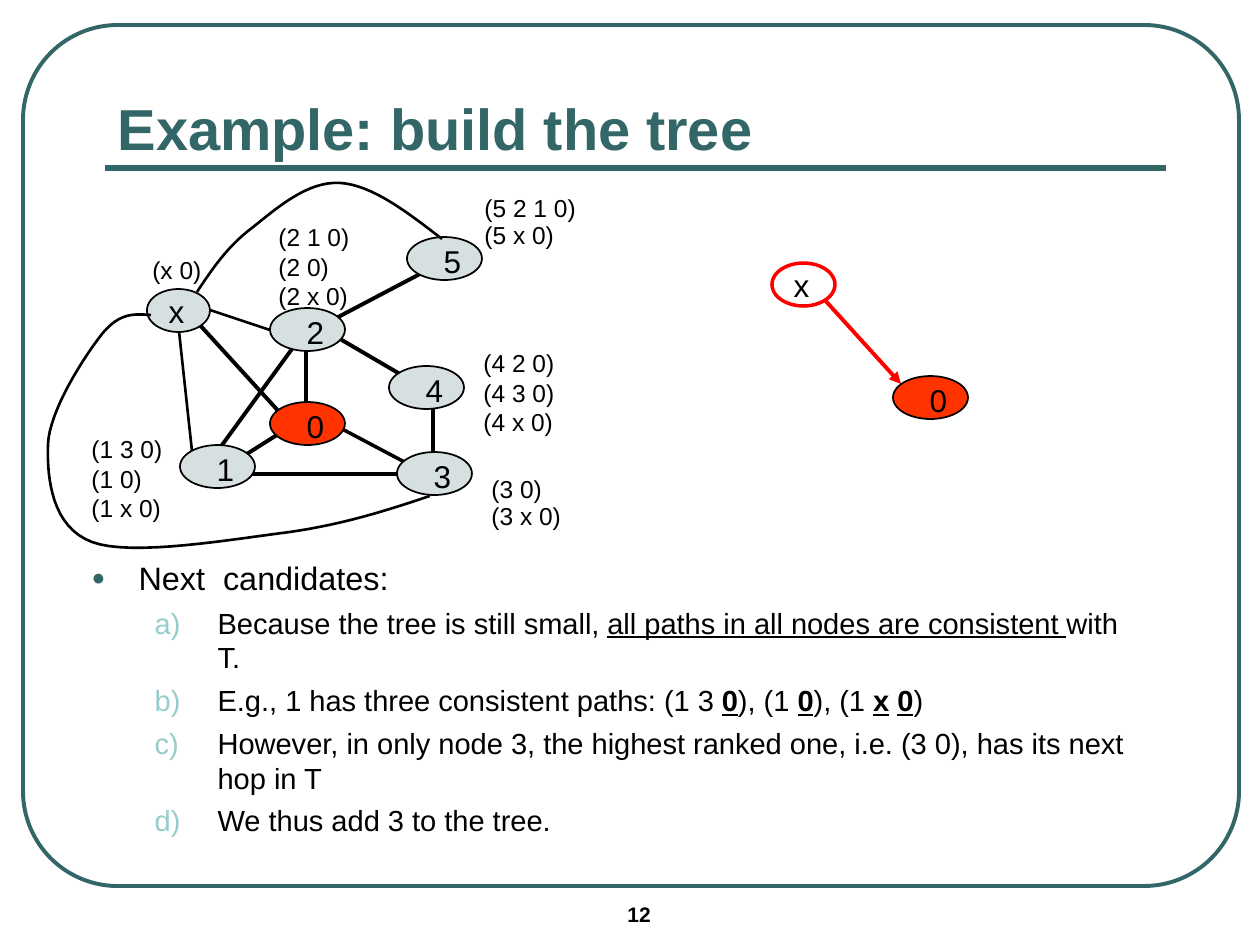
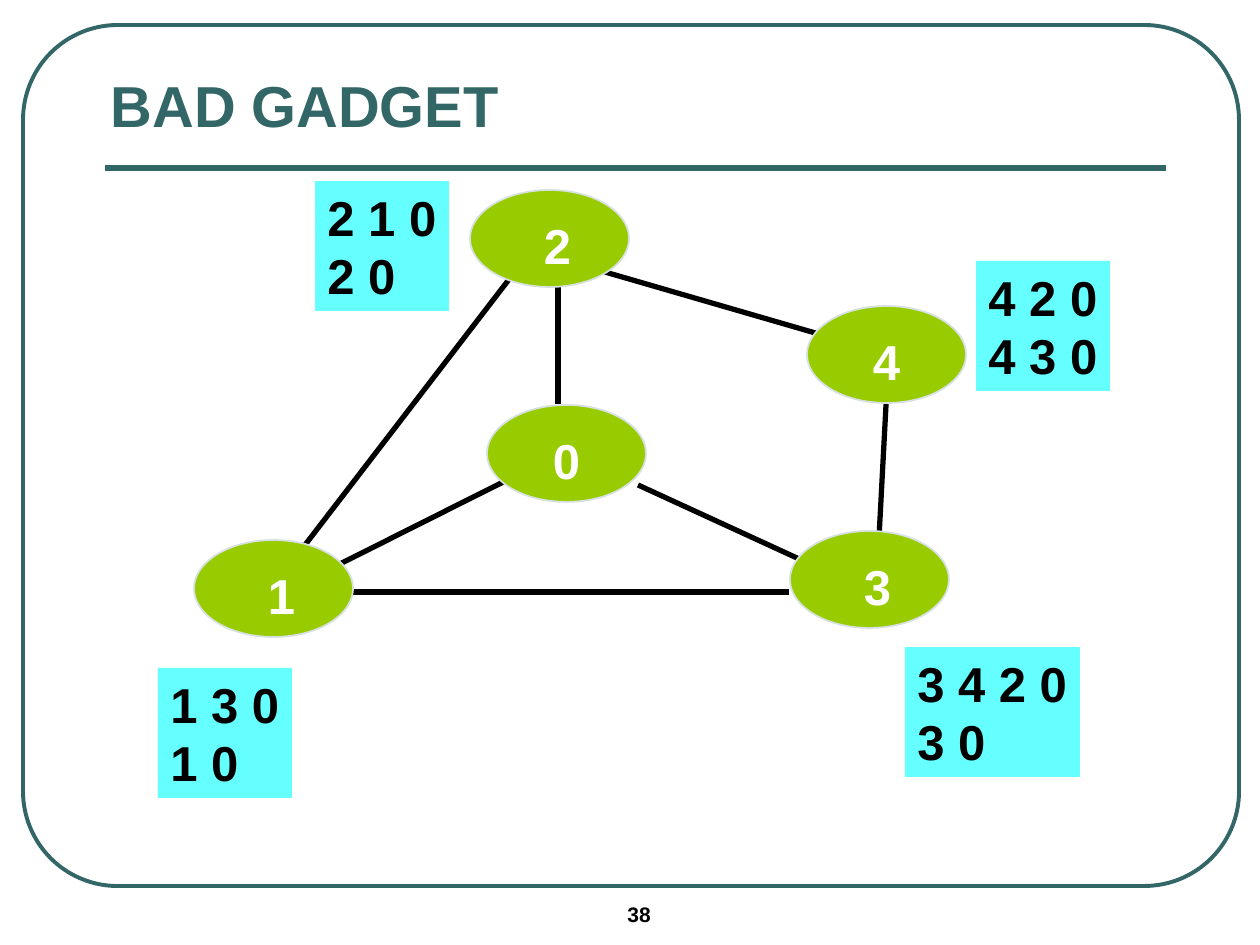
from lxml import etree
from pptx import Presentation
from pptx.dml.color import RGBColor
from pptx.enum.shapes import MSO_CONNECTOR, MSO_SHAPE
from pptx.enum.text import MSO_ANCHOR, MSO_AUTO_SIZE, PP_ALIGN
from pptx.oxml.ns import qn
from pptx.util import Emu, Pt

STRAIGHT = MSO_CONNECTOR.STRAIGHT
OVAL, ROUNDED = MSO_SHAPE.OVAL, MSO_SHAPE.ROUNDED_RECTANGLE
TOP, MIDDLE, BOTTOM = MSO_ANCHOR.TOP, MSO_ANCHOR.MIDDLE, MSO_ANCHOR.BOTTOM
LEFT, CENTER = PP_ALIGN.LEFT, PP_ALIGN.CENTER
NO_FIT = MSO_AUTO_SIZE.NONE
EMU_PER_PX = 914400 / 126
CURVE_STEPS = 16


class Theme:
    font = "Arial"
    teal = RGBColor.from_string("336666")
    aqua = RGBColor.from_string("97CDCC")
    black = RGBColor.from_string("000000")
    white = RGBColor.from_string("FFFFFF")
    red = RGBColor.from_string("FF0000")
    orange = RGBColor.from_string("FF3300")
    mist = RGBColor.from_string("D6E0E0")
    lime = RGBColor.from_string("99CC00")
    cyan = RGBColor.from_string("66FFFF")
    title_size = 33
    lead_size = 18.5
    item_size = 16.6
    node_size = 18
    path_size = 14
    big_size = 28
    number_size = 12
    loose = 1.2
    tight = 1.1


def px(*lengths):
    """Turn pixel lengths into a list of EMU lengths."""
    return [Emu(round(length * EMU_PER_PX)) for length in lengths]


def write(shape, lines, size, color=Theme.black, bold=False, leading=None,
          anchor=TOP, align=LEFT, wrap=False):
    """Fill a shape with paragraphs; each line is a list of (text, style)
    spans or a plain string, and style may hold b and u."""
    frame = shape.text_frame
    frame.auto_size = NO_FIT
    frame.word_wrap = wrap
    frame.vertical_anchor = anchor
    for index, line in enumerate(lines):
        para = frame.paragraphs[0] if index == 0 else frame.add_paragraph()
        para.alignment = align
        para.space_before = Pt(0)
        if leading:
            para.line_spacing = Pt(round(size * leading, 1))
        para.font.name = Theme.font
        para.font.size = Pt(size)
        para.font.color.rgb = color
        para.font.bold = bold
        for text, style in [(line, "")] if isinstance(line, str) else line:
            span = para.add_run()
            span.text = text
            if "b" in style:
                span.font.bold = True
            if "u" in style:
                span.font.underline = True


# Edges: x1, y1, x2, y2, width, colour
# Nodes: name, left, top, width, height, label shift, fill, outline, outline width
# Paths: left, top, width, height, leading, lines
tree_page = dict(
    layout=1, title="Example: build the tree", title_at=(105, 73, 1061, 95),
    anchor=BOTTOM, number="12",
    edges=[(*ends, width, Theme.black) for width, group in (
        (2.25, [(323, 329, 417, 384), (306, 336, 306, 412),
                (188, 312, 282, 415), (325, 324, 437, 265),
                (433, 394, 433, 474), (300, 338, 217, 452),
                (307, 416, 239, 459)]),
        (2, [(412, 466, 344, 430), (397, 474, 232, 474)]),
        (1.5, [(270, 330, 210, 310), (192, 451, 179, 331)]),
    ) for ends in group] + [(813, 287, 901, 384, 2.25, Theme.red)],
    nodes=[(name, left, top, 75, 43, 8, fill, Theme.black, 1)
           for name, left, top, fill in (
               ("0", 893, 376, Theme.orange), ("5", 407, 237, Theme.mist),
               ("0", 270, 402, Theme.orange), ("3", 397, 452, Theme.mist),
               ("4", 389, 366, Theme.mist), ("2", 270, 308, Theme.mist),
               ("1", 180, 445, Theme.mist))]
          + [("x", 147, 289, 63, 43, -2, Theme.mist, Theme.black, 1),
             ("x", 772, 263, 63, 43, -2, Theme.white, Theme.red, 2)],
    node_size=Theme.node_size, node_color=Theme.black, node_bold=False, drop=5,
    paths=[(266, 216, 97, 100, Theme.loose, ["(2 1 0)", "(2 0)", "(2 x 0)"]),
           (79, 428, 97, 100, Theme.loose, ["(1 3 0)", "(1 0)", "(1 x 0)"]),
           (471, 342, 97, 100, Theme.loose, ["(4 2 0)", "(4 3 0)", "(4 x 0)"]),
           (479, 470, 96, 68, Theme.tight, ["(3 0)", "(3 x 0)"]),
           (472, 189, 117, 68, Theme.tight, ["(5 2 1 0)", "(5 x 0)"]),
           (140, 251, 74, 42, Theme.tight, ["(x 0)"])],
    path_size=Theme.path_size, path_bold=False, path_fill=None,
    curves=[[(442, 239), (407, 212), (372, 185), (340, 183),
             (307, 181), (276, 209), (252, 228),
             (228, 246), (213, 268), (197, 292)],
            [(430, 496), (388, 510), (345, 524), (290, 532),
             (233, 539), (132, 557), (92, 542),
             (52, 527), (47, 479), (48, 445),
             (49, 411), (84, 357), (102, 334),
             (120, 312), (135, 314), (151, 315)]],
)
gadget_page = dict(
    layout=5, title="BAD GADGET", title_at=(98, 52, 440, 105),
    anchor=MIDDLE, number="38",
    edges=[(*ends, 3, Theme.black) for ends in (
        (887, 387, 878, 557), (530, 252, 282, 575), (567, 261, 843, 341),
        (558, 270, 558, 404), (549, 459, 318, 575), (834, 575, 638, 485),
        (789, 592, 326, 592))],
    nodes=[(name, left, top, 159, 97, shift, Theme.lime, Theme.mist, 1)
           for name, left, top, shift in (
               ("2", 470, 190, 8), ("0", 487, 405, 0), ("3", 790, 531, 8),
               ("1", 194, 540, 8), ("4", 807, 306, 0))],
    node_size=Theme.big_size, node_color=Theme.white, node_bold=True, drop=12,
    paths=[(left, top, width, 130, Theme.loose, lines)
           for left, top, width, lines in (
               (315, 181, 134, ["2 1 0", "2 0"]),
               (158, 668, 134, ["1 3 0", "1 0"]),
               (905, 647, 175, ["3 4 2 0", "3 0"]),
               (976, 261, 134, ["4 2 0", "4 3 0"]))],
    path_size=Theme.big_size, path_bold=True, path_fill=Theme.cyan,
    curves=[],
)
body_lines = [
    "Next\u00a0 candidates:".replace("\u00a0", " "),
    [("Because the tree is still small, ", ""),
     ("all paths in all nodes are consistent ", "u"), ("with T.", "")],
    [("E.g., 1 has three consistent paths: (1 3 ", ""), ("0", "bu"),
     ("), (1 ", ""), ("0", "bu"), ("), (1 ", ""), ("x", "bu"), (" ", "b"),
     ("0", "bu"), (")", "")],
    "However, in only node 3, the highest ranked one, i.e. (3 0), "
    "has its next hop in T",
    "We thus add 3 to the tree.",
]

deck = Presentation()
deck.slide_width, deck.slide_height = px(1260, 945)

for page in (tree_page, gadget_page):
    slide = deck.slides.add_slide(deck.slide_layouts[page["layout"]])
    shapes = slide.shapes

    # Shared frame, title, rule and page number
    border = shapes.add_shape(ROUNDED, *px(23, 25, 1216, 861))
    border.adjustments[0] = 0.11
    border.shadow.inherit = False
    border.fill.background()
    border.line.color.rgb = Theme.teal
    border.line.width = Pt(2.25)
    title = shapes.title
    title.left, title.top, title.width, title.height = px(*page["title_at"])
    write(title, [page["title"]], Theme.title_size, Theme.teal, bold=True,
          anchor=page["anchor"], wrap=True)
    number = shapes.add_textbox(*px(615, 895, 147, 42))
    write(number, [page["number"]], Theme.number_size, bold=True, wrap=True)

    # Graph
    rule = (105, 168, 1166, 168, 3, Theme.teal)
    for *ends, width, color in [rule] + page["edges"]:
        edge = shapes.add_connector(STRAIGHT, *px(*ends))
        edge.line.color.rgb = color
        edge.line.width = Pt(width)
        properties = edge._element.spPr
        if color == Theme.red:
            outline = properties.find(qn("a:ln"))
            etree.SubElement(outline, qn("a:tailEnd"), type="triangle")
        etree.SubElement(properties, qn("a:effectLst"))

    for name, left, top, width, height, shift, fill, color, weight in page["nodes"]:
        node = shapes.add_shape(OVAL, *px(left, top, width, height))
        node.shadow.inherit = False
        node.fill.solid()
        node.fill.fore_color.rgb = fill
        node.line.color.rgb = color
        node.line.width = Pt(weight)
        write(node, [name], page["node_size"], page["node_color"],
              page["node_bold"], anchor=MIDDLE, align=CENTER)
        frame = node.text_frame
        drop = page["drop"] if name.isdigit() else 0
        frame.margin_left, frame.margin_right, frame.margin_top, frame.margin_bottom = px(
            max(0, 2 * shift), max(0, -2 * shift), drop, 0)

    for *place, leading, lines in page["paths"]:
        box = shapes.add_textbox(*px(*place))
        if page["path_fill"]:
            box.fill.solid()
            box.fill.fore_color.rgb = page["path_fill"]
        write(box, lines, page["path_size"], bold=page["path_bold"], leading=leading)

    for start, *controls in page["curves"]:
        points = []
        knot = start
        for first in range(0, len(controls), 3):
            bezier = [knot] + controls[first:first + 3]
            for step in range(1, CURVE_STEPS + 1):
                t = step / CURVE_STEPS
                weights = ((1 - t) ** 3, 3 * t * (1 - t) ** 2,
                           3 * t ** 2 * (1 - t), t ** 3)
                points.append(px(*(sum(w * point[axis] for w, point in zip(weights, bezier))
                                   for axis in (0, 1))))
            knot = bezier[-1]
        builder = shapes.build_freeform(*px(*start))
        builder.add_line_segments(points, close=False)
        curve = builder.convert_to_shape()
        curve.shadow.inherit = False
        curve.fill.background()
        curve.line.color.rgb = Theme.black
        curve.line.width = Pt(1.5)

# Candidate list on the tree slide
body = deck.slides[0].placeholders[1]
body.left, body.top, body.width, body.height = px(79, 552, 1071, 299)
write(body, body_lines, Theme.item_size, leading=Theme.loose, wrap=True)
for index, para in enumerate(body.text_frame.paragraphs):
    properties = para._p.get_or_add_pPr()
    is_lead = index == 0
    if is_lead:
        para.font.size = Pt(Theme.lead_size)
        para.line_spacing = Pt(round(Theme.lead_size * Theme.loose, 1))
        margin, indent = px(47, -47)
        bullet_parts = [("a:buSzPct", {"val": "70000"}),
                        ("a:buFont", {"typeface": Theme.font}),
                        ("a:buChar", {"char": "●"})]
    else:
        para.level = 1
        para.space_before = Pt(4.5)
        margin, indent = px(126, -63)
        bullet_parts = [("a:buFont", {"typeface": Theme.font}),
                        ("a:buAutoNum", {"type": "alphaLcParenR"})]
    properties.set("marL", str(margin))
    properties.set("indent", str(indent))
    bullet_color = etree.Element(qn("a:buClr"))
    etree.SubElement(bullet_color, qn("a:srgbClr"),
                     val=str(Theme.teal if is_lead else Theme.aqua))
    default_font = properties.find(qn("a:defRPr"))
    default_font.addprevious(bullet_color)
    for tag, attributes in bullet_parts:
        default_font.addprevious(etree.Element(qn(tag), attributes))

deck.save("out.pptx")
